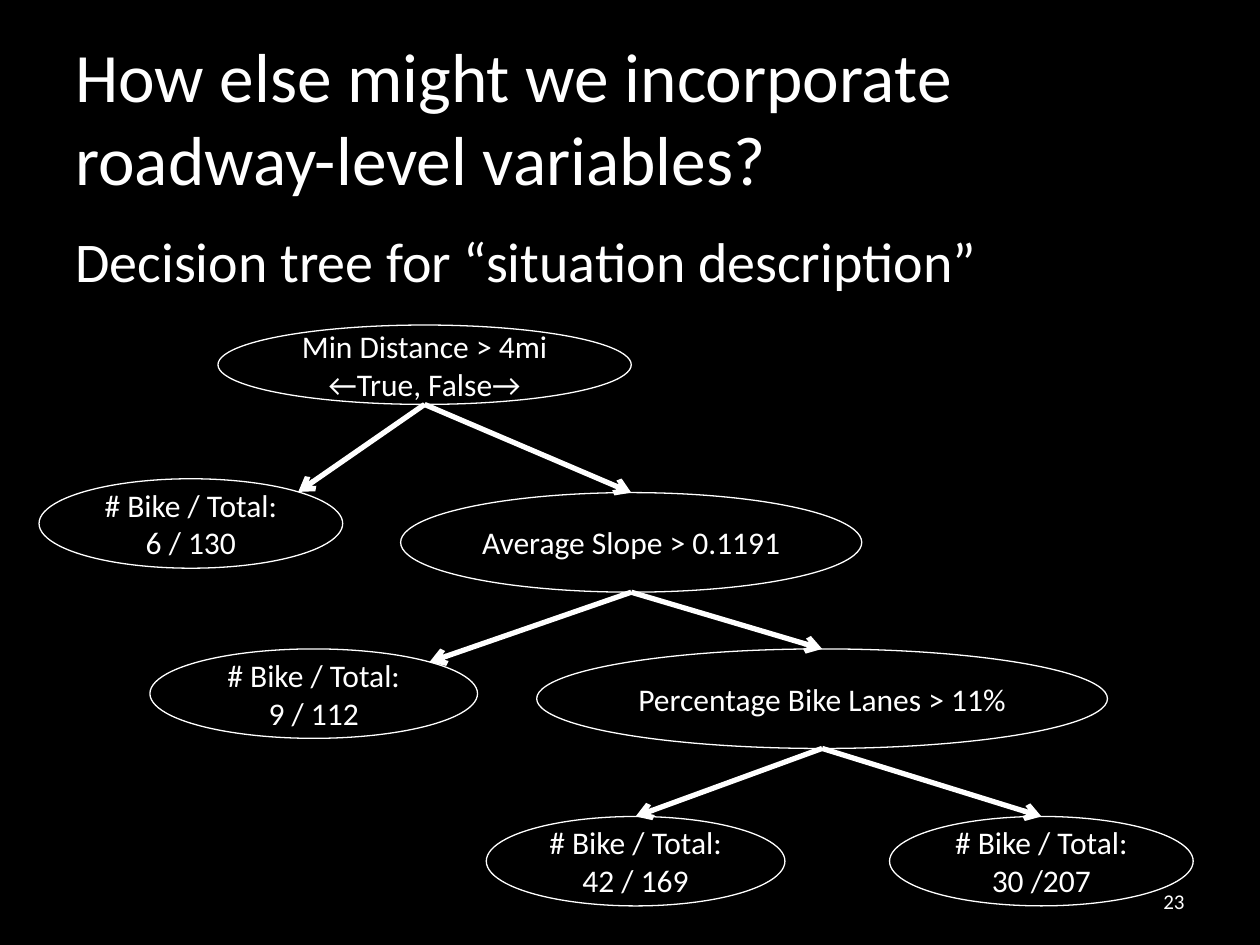
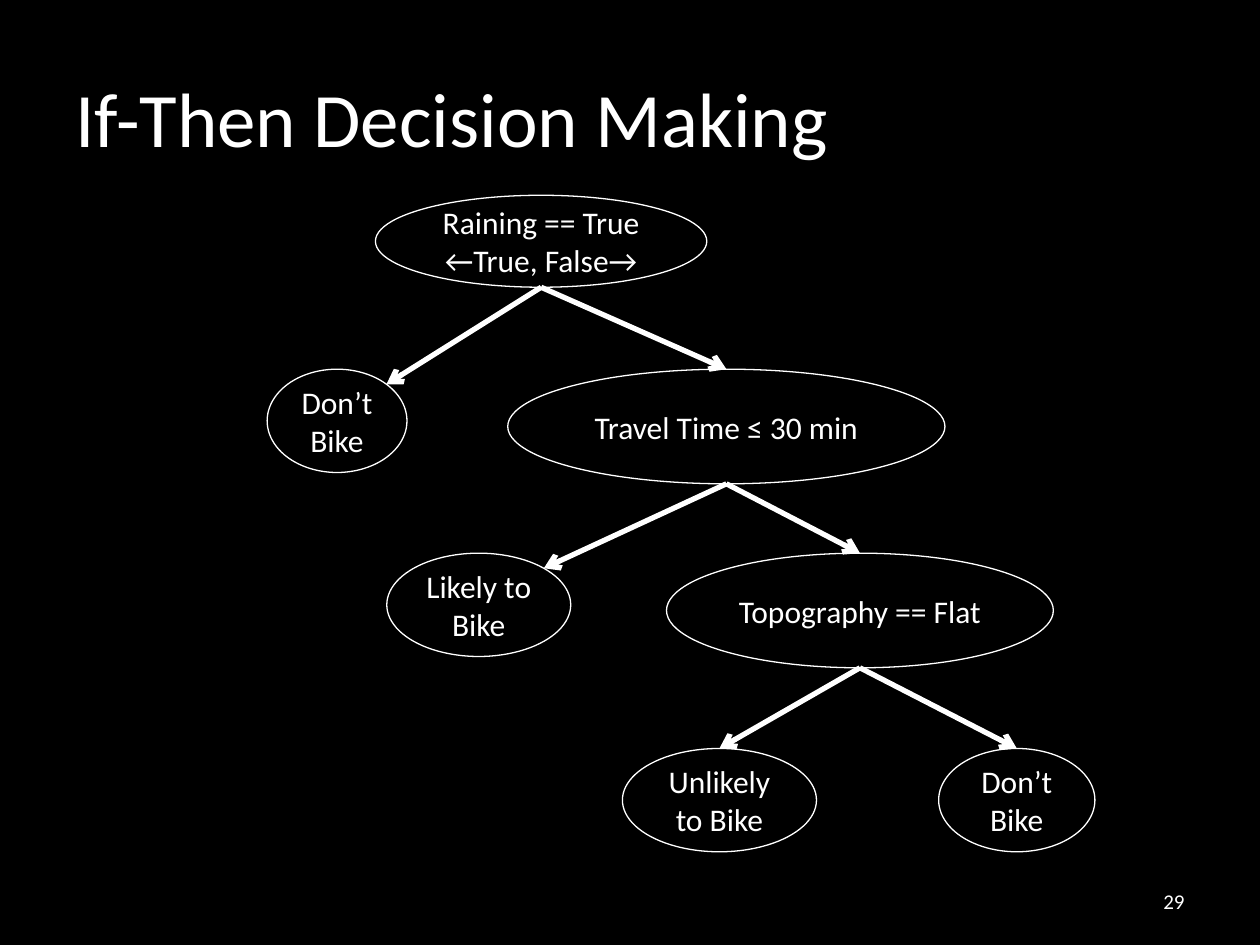
from dataclasses import dataclass
from math import sqrt
from typing import Optional

from lxml.etree import SubElement
from pptx import Presentation
from pptx.dml.color import RGBColor
from pptx.enum.shapes import MSO_CONNECTOR as Connector, MSO_SHAPE as Preset
from pptx.enum.text import MSO_ANCHOR as Anchor, PP_ALIGN as Align
from pptx.oxml.ns import qn
from pptx.slide import Slide
from pptx.text.text import TextFrame
from pptx.util import Emu, Pt

PX = 9144  # one px is a hundredth of an inch


@dataclass(frozen=True)
class Theme:
    font: str = "Calibri"
    ground: RGBColor = RGBColor(0, 0, 0)
    ink: RGBColor = RGBColor(255, 255, 255)
    title_size: float = 44
    long_title_size: float = 39.6
    lead_size: float = 32
    node_size: float = 18
    number_size: float = 12
    outline: float = 0.75
    arrow: float = 3


THEME = Theme()


@dataclass(frozen=True)
class Area:
    left: int
    top: int
    width: int
    height: int

    def emu(self) -> tuple[Emu, ...]:
        return tuple(Emu(n * PX) for n in (self.left, self.top, self.width, self.height))

    def point(self, across: float, down: float) -> tuple[Emu, Emu]:
        """Point at a share of the width and height."""
        return (Emu(round((self.left + self.width * across) * PX)),
                Emu(round((self.top + self.height * down) * PX)))


@dataclass(frozen=True)
class Node:
    text: str
    area: Area
    when_true: Optional["Node"] = None
    when_false: Optional["Node"] = None
    entry: tuple[float, float] = (0.5, 0)


TITLE_AREA = Area(50, 30, 900, 125)
LEAD_AREA = Area(50, 175, 900, 83)
NUMBER_AREA = Area(717, 695, 233, 40)

# Where an arrow meets an ellipse
BOTTOM = (0.5, 1)
TOP_RIGHT = (0.5 + sqrt(2) / 4, 0.5 - sqrt(2) / 4)


def style_text(frame: TextFrame, text: str, size: float, align: Align, anchor: Anchor) -> None:
    frame.word_wrap = True
    frame.vertical_anchor = anchor
    frame.text = text
    for para in frame.paragraphs:
        para.alignment = align
        for span in para.runs:
            span.font.name = THEME.font
            span.font.size = Pt(size)
            span.font.color.rgb = THEME.ink


def add_text(page: Slide, area: Area, text: str, size: float,
             align: Align = Align.LEFT, anchor: Anchor = Anchor.MIDDLE) -> None:
    box = page.shapes.add_textbox(*area.emu())
    style_text(box.text_frame, text, size, align, anchor)


def add_arrow(page: Slide, parent: Node, child: Node) -> None:
    arrow = page.shapes.add_connector(
        Connector.STRAIGHT, *parent.area.point(*BOTTOM), *child.area.point(*child.entry))
    arrow.line.color.rgb = THEME.ink
    arrow.line.width = Pt(THEME.arrow)
    SubElement(arrow.line._get_or_add_ln(), qn("a:tailEnd"), type="arrow")
    SubElement(arrow._element.spPr, qn("a:effectLst"))


def add_tree(page: Slide, node: Node) -> None:
    """Draw a node, then its branches and the arrows to them."""
    ellipse = page.shapes.add_shape(Preset.OVAL, *node.area.emu())
    ellipse.shadow.inherit = False
    ellipse.fill.solid()
    ellipse.fill.fore_color.rgb = THEME.ground
    ellipse.line.color.rgb = THEME.ink
    ellipse.line.width = Pt(THEME.outline)
    style_text(ellipse.text_frame, node.text, THEME.node_size, Align.CENTER, Anchor.MIDDLE)
    for child in (node.when_true, node.when_false):
        if child:
            add_tree(page, child)
            add_arrow(page, node, child)


def add_page(deck: Presentation, title: str, title_size: float, number: int, tree: Node) -> Slide:
    page = deck.slides.add_slide(deck.slide_layouts[6])
    page.background.fill.solid()
    page.background.fill.fore_color.rgb = THEME.ground
    add_text(page, TITLE_AREA, title, title_size)
    add_text(page, NUMBER_AREA, str(number), THEME.number_size, Align.RIGHT)
    add_tree(page, tree)
    return page


def bike_share(count: str, area: Area, entry: tuple[float, float] = (0.5, 0)) -> Node:
    return Node(f"# Bike / Total:\v{count}", area, entry=entry)


# Tree of roadway variables
bike_lanes = Node(
    "Percentage Bike Lanes > 11%", Area(426, 515, 453, 79),
    bike_share("42 / 169", Area(386, 648, 237, 71)),
    bike_share("30 /207", Area(706, 648, 241, 71)))
slope = Node(
    "Average Slope > 0.1191", Area(318, 391, 366, 79),
    bike_share("9 / 112", Area(119, 515, 260, 71), TOP_RIGHT), bike_lanes)
distance = Node(
    "Min Distance > 4mi\v←True, False→", Area(173, 258, 328, 63),
    bike_share("6 / 130", Area(31, 380, 241, 71), TOP_RIGHT), slope)

# Tree of everyday choices
topography = Node(
    "Topography == Flat", Area(529, 439, 307, 91),
    Node("Unlikely to Bike", Area(494, 594, 154, 82)),
    Node("Don’t Bike", Area(745, 594, 124, 82)))
travel_time = Node(
    "Travel Time ≤ 30 min", Area(403, 293, 347, 91),
    Node("Likely to Bike", Area(307, 439, 146, 82), entry=TOP_RIGHT), topography)
raining = Node(
    "Raining == True\v←True, False→", Area(298, 155, 263, 73),
    Node("Don’t Bike", Area(212, 293, 111, 82), entry=TOP_RIGHT), travel_time)


def main() -> None:
    deck = Presentation()
    deck.slide_width, deck.slide_height = Emu(1000 * PX), Emu(750 * PX)

    page = add_page(deck, "How else might we incorporate roadway-level variables?",
                    THEME.long_title_size, 23, distance)
    add_text(page, LEAD_AREA, "Decision tree for “situation description”",
             THEME.lead_size, anchor=Anchor.TOP)

    add_page(deck, "If-Then Decision Making", THEME.title_size, 29, raining)
    deck.save("out.pptx")


if __name__ == "__main__":
    main()
